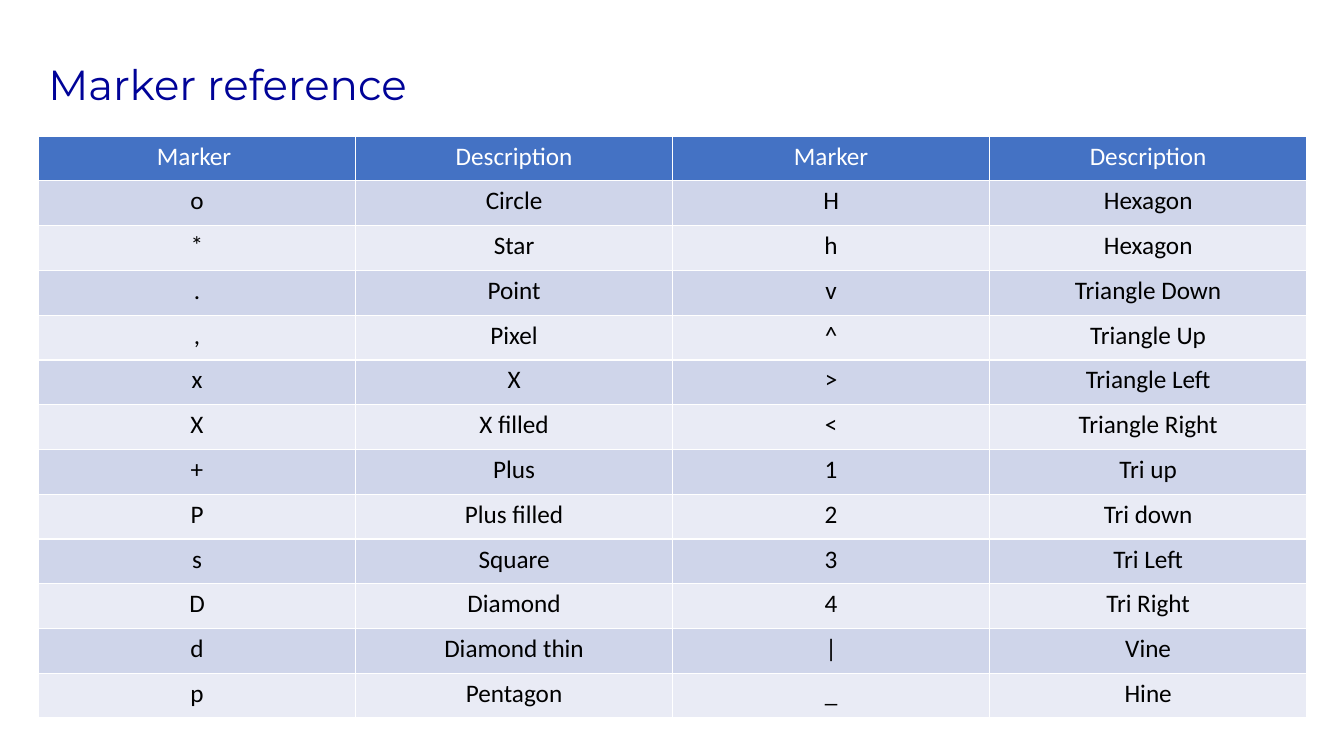
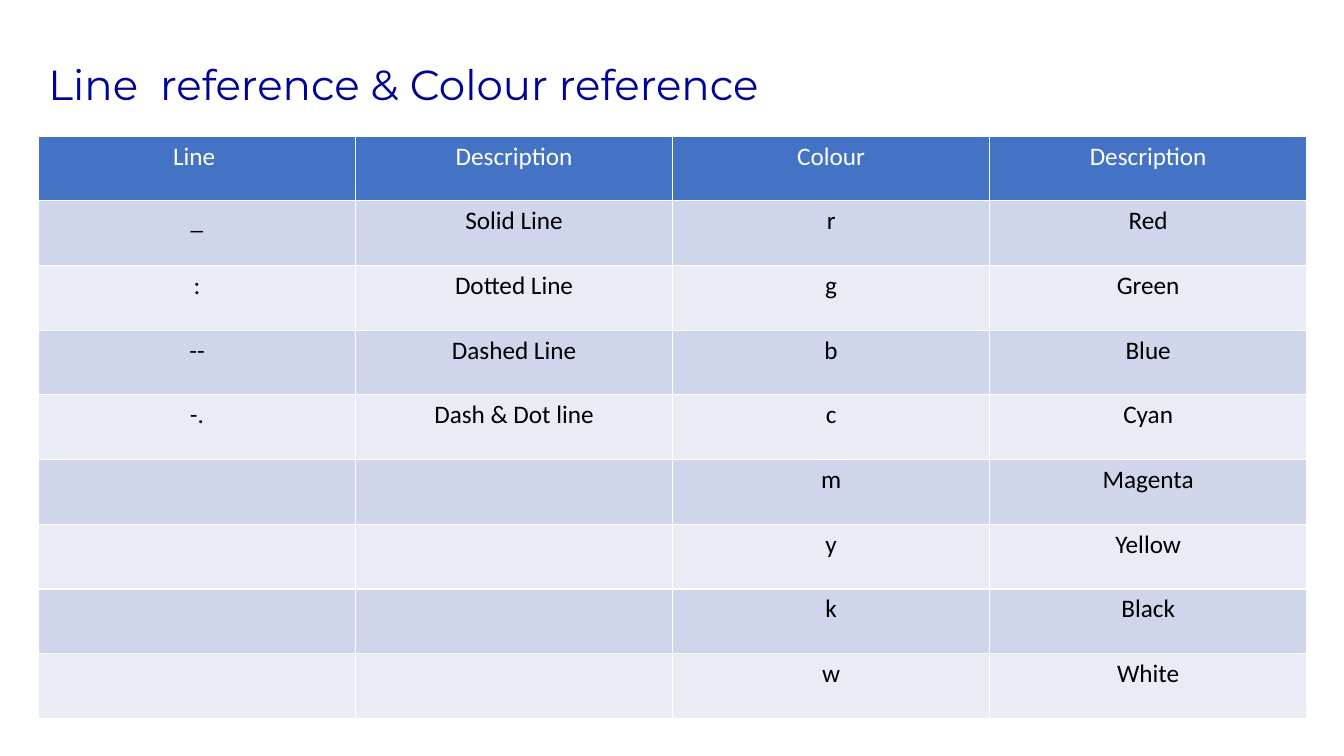
from dataclasses import dataclass
from lxml import etree
from pptx import Presentation
from pptx import util as u
from pptx.dml.color import RGBColor
from pptx.enum import text
from pptx.oxml.ns import qn


@dataclass(frozen=True)
class Theme:
    title_colour: str = "000398"
    header_fill: str = "4472C4"
    band_fills: tuple = ("CFD5EA", "E9EBF5")
    header_text: str = "FFFFFF"
    body_text: str = "000000"
    border: str = "FFFFFF"
    border_width: int = u.Pt(1)
    title_font: str = "Montserrat"
    title_size: int = u.Pt(30)
    table_font: str = "Calibri"
    table_size: int = u.Pt(18)


theme = Theme()


def style_font(para, name, size, colour):
    para.font.name = name
    para.font.size = size
    para.font.bold = False
    para.font.color.rgb = RGBColor.from_string(colour)


def add_borders(cell):
    properties = cell._tc.get_or_add_tcPr()
    for side in ("a:lnL", "a:lnR", "a:lnT", "a:lnB"):
        line = etree.SubElement(properties, qn(side), w=str(theme.border_width))
        fill = etree.SubElement(line, qn("a:solidFill"))
        etree.SubElement(fill, qn("a:srgbClr"), val=theme.border)


marker_rows = [
    ("Marker ", "Description", "Marker", "Description"),
    ("o", "Circle", "H", "Hexagon"),
    ("*", "Star", "h", "Hexagon"),
    (".", "Point", "v", "Triangle Down"),
    (",", "Pixel", "^", "Triangle Up"),
    ("x", "X", ">", "Triangle Left"),
    ("X", "X filled", "<", "Triangle Right"),
    ("+", "Plus", "1", "Tri up"),
    ("P", "Plus filled", "2", "Tri down"),
    ("s", "Square", "3", "Tri Left"),
    ("D", "Diamond", "4", "Tri Right"),
    ("d", "Diamond thin", "|", "Vine"),
    ("p", "Pentagon", "_", "Hine"),
]
line_colour_rows = [
    ("Line ", "Description", "Colour", "Description"),
    ("_", "Solid Line", "r", "Red"),
    (":", "Dotted Line", "g", "Green"),
    ("--", "Dashed Line", "b", "Blue"),
    ("-.", "Dash & Dot line", "c", "Cyan"),
    ("", "", "m", "Magenta"),
    ("", "", "y", "Yellow"),
    ("", "", "k", "Black"),
    ("", "", "w", "White"),
]
pages = [
    ("Marker reference", marker_rows),
    ("Line  reference & Colour reference", line_colour_rows),
]

deck = Presentation()
deck.slide_width, deck.slide_height = u.Cm(33.87), u.Cm(19.05)
left = u.Cm(0.97)
table_top, table_width, table_height = u.Cm(3.43), u.Cm(31.96), u.Cm(14.67)

for title, rows in pages:
    page = deck.slides.add_slide(deck.slide_layouts[6])

    title_box = page.shapes.add_textbox(left, u.Cm(0.97), u.Cm(31.88), u.Cm(2.46))
    title_box.text_frame.word_wrap = True
    title_box.text_frame.vertical_anchor = text.MSO_ANCHOR.MIDDLE
    para = title_box.text_frame.paragraphs[0]
    para.text = title
    para.line_spacing = 0.9
    style_font(para, theme.title_font, theme.title_size, theme.title_colour)

    table = page.shapes.add_table(
        len(rows), len(rows[0]), left, table_top, table_width, table_height
    ).table
    for row_index, row in enumerate(rows):
        is_header = row_index == 0
        fill = theme.header_fill if is_header else theme.band_fills[(row_index - 1) % 2]
        colour = theme.header_text if is_header else theme.body_text
        for column_index, wording in enumerate(row):
            cell = table.cell(row_index, column_index)
            add_borders(cell)
            cell.fill.solid()
            cell.fill.fore_color.rgb = RGBColor.from_string(fill)
            para = cell.text_frame.paragraphs[0]
            para.text = wording
            para.alignment = text.PP_ALIGN.CENTER
            style_font(para, theme.table_font, theme.table_size, colour)

deck.save("out.pptx")
